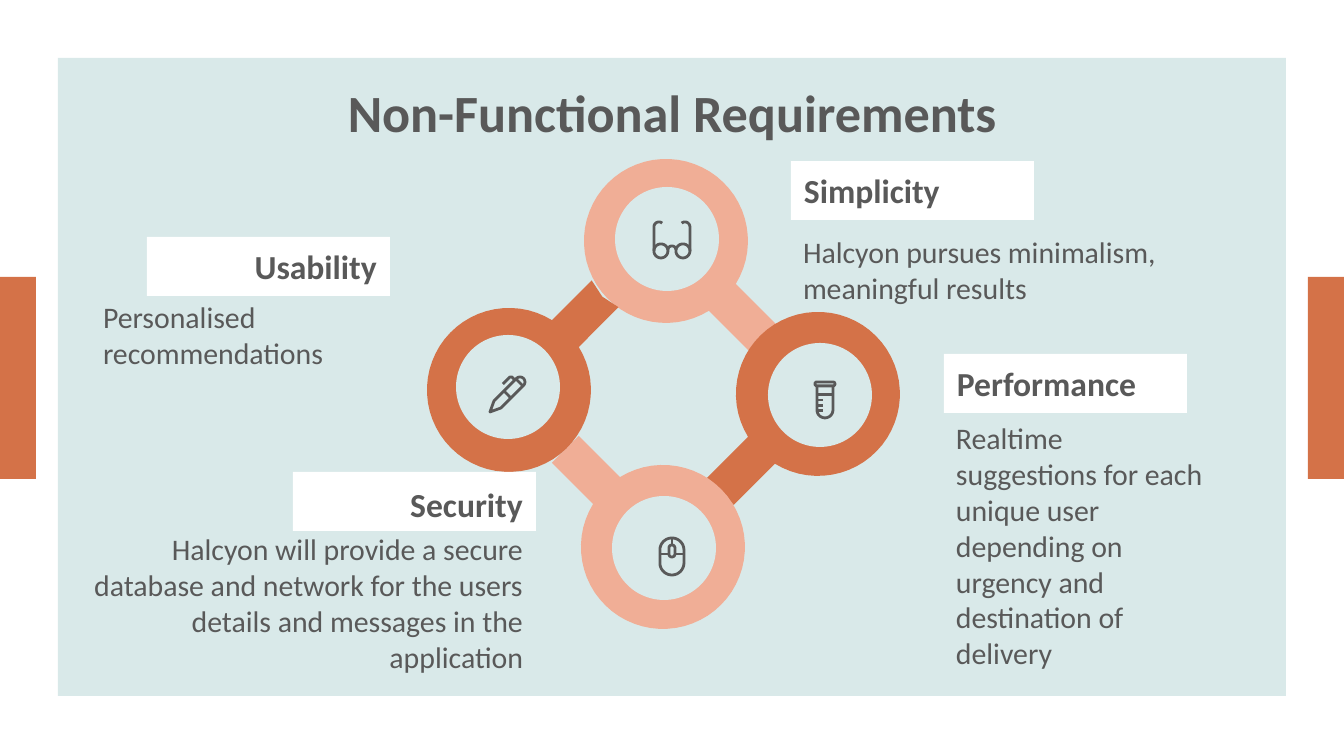
import math

from pptx import Presentation
from pptx import util as u
from pptx.dml.color import RGBColor
from pptx.enum import shapes, text

PX = 914400 / 134.4
MINT = RGBColor(0xD9, 0xE9, 0xE9)
RUST = RGBColor(0xD4, 0x72, 0x48)
PEACH = RGBColor(0xF0, 0xAE, 0x96)
GREY = RGBColor(0x59, 0x59, 0x59)
WHITE = RGBColor(0xFF, 0xFF, 0xFF)
LEFT, CENTER, RIGHT = text.PP_ALIGN.LEFT, text.PP_ALIGN.CENTER, text.PP_ALIGN.RIGHT
RECTANGLE, OVAL = shapes.MSO_SHAPE.RECTANGLE, shapes.MSO_SHAPE.OVAL

presentation = Presentation()
presentation.slide_width = u.Emu(round(1344 * PX))
presentation.slide_height = u.Emu(round(756 * PX))
slide = presentation.slides.add_slide(presentation.slide_layouts[6])


def arc(x, y, radius, start, stop):
    steps = max(8, math.ceil(abs(stop - start) / 6))
    angles = [math.radians(start + (stop - start) * i / steps) for i in range(steps + 1)]
    return [(x + radius * math.cos(a), y + radius * math.sin(a)) for a in angles]


def draw_outline(contours, closed):
    contours = [[(round(x * PX), round(y * PX)) for x, y in points] for points in contours]
    builder = slide.shapes.build_freeform(*contours[0][0], scale=1.0)
    for number, points in enumerate(contours):
        if number:
            builder.move_to(*points[0])
        builder.add_line_segments(points[1:], close=closed)
    shape = builder.convert_to_shape()
    shape.shadow.inherit = False
    return shape


panels = [
    (58, 58, 1228, 638, MINT),
    (1308, 277, 36, 202, RUST),
    (0, 277, 36, 202, RUST),
]
for left, top, width, height, color in panels:
    box = [round(n * PX) for n in (left, top, width, height)]
    shape = slide.shapes.add_shape(RECTANGLE, *box)
    shape.shadow.inherit = False
    shape.fill.solid()
    shape.fill.fore_color.rgb = color
    shape.line.fill.background()

RING_RADIUS, HOLE_RADIUS, ARM_HALF_WIDTH = 82, 52, 19
opening = math.degrees(math.asin(ARM_HALF_WIDTH / RING_RADIUS))
rings = [
    (666, 241, 667, 239, 45, 138, 138, PEACH),
    (818, 394, 820, 395, 135, 138, 138, RUST),
    (663, 547, 664, 548, 225, 138, 138, PEACH),
    (509, 390, 508, 387, 315, 136, 132, RUST),
]
for x, y, hole_x, hole_y, direction, reach, notch, color in rings:
    cos, sin = math.cos(math.radians(direction)), math.sin(math.radians(direction))
    arm_end = [(reach, -ARM_HALF_WIDTH), (notch, 0), (reach, ARM_HALF_WIDTH)]
    points = arc(x, y, RING_RADIUS, direction + opening, direction + 360 - opening)
    points += [(x + a * cos - b * sin, y + a * sin + b * cos) for a, b in arm_end]
    ring = draw_outline([points], True)

    hole_box = (hole_x - HOLE_RADIUS, hole_y - HOLE_RADIUS, 2 * HOLE_RADIUS, 2 * HOLE_RADIUS)
    hole = slide.shapes.add_shape(OVAL, *[round(n * PX) for n in hole_box])
    hole.shadow.inherit = False
    for shape, fill_color in ((ring, color), (hole, MINT)):
        shape.fill.solid()
        shape.fill.fore_color.rgb = fill_color
        shape.line.fill.background()

glasses = [
    arc(661, 251, 7, 0, 360),
    arc(683, 251, 7, 0, 360),
    arc(672, 250, 4, 180, 360),
    [(654, 251)] + arc(659, 227, 5, 180, 310),
    [(690, 251)] + arc(685, 227, 5, 0, -130),
]
test_tube = [
    arc(817, 384, 2, 90, 270) + arc(833, 384, 2, -90, 90) + [(817, 386)],
    [(817, 386)] + arc(825, 410, 8, 180, 0) + [(833, 386)],
    [(817, 395), (833, 395)],
] + [[(817, y), (823, y)] for y in (400, 406, 411)]
mouse = [
    arc(672, 550, 12, 180, 360) + arc(672, 563, 12, 0, 180) + [(660, 550)],
    arc(672, 548, 3, 180, 360) + arc(672, 554, 3, 0, 180) + [(669, 548)],
    [(660, 554), (669, 554)],
    [(675, 554), (684, 554)],
    [(672, 538), (672, 545)],
]
pen = [
    [(494, 401)] + arc(520, 382, 5, -135, 45) + [(501, 408), (490, 412), (494, 401)],
    [(504, 391), (511, 398)],
    [(516, 379), (523, 386)],
    [(503, 384), (510, 377), (512, 377), (515, 380)],
]
for icon in (glasses, test_tube, mouse, pen):
    shape = draw_outline(icon, False)
    shape.fill.background()
    shape.line.color.rgb = GREY
    shape.line.width = u.Pt(1.5)

texts = [
    ("Non-Functional Requirements", 46, 67, 1252, 85, 28, CENTER),
    ("Halcyon will provide a secure database and network for the users "
     "details and messages in the application", 54, 518, 482, 164, 16, RIGHT),
    ("Realtime suggestions for each unique user depending on urgency and "
     "destination of delivery", 943, 407, 278, 284, 16, LEFT),
    ("Halcyon pursues minimalism, meaningful results", 790, 221, 431, 91, 16, LEFT),
    ("Personalised recommendations", 90, 286, 310, 195, 16, LEFT),
    ("Security", 293, 472, 243, 59, 18, RIGHT),
    ("Performance", 944, 354, 243, 59, 18, LEFT),
    ("Simplicity", 791, 161, 243, 59, 18, LEFT),
    ("Usability", 147, 237, 243, 59, 18, RIGHT),
]
for words, left, top, width, height, size, alignment in texts:
    box = [round(n * PX) for n in (left, top, width, height)]
    is_label = size == 18
    if is_label:
        shape = slide.shapes.add_shape(RECTANGLE, *box)
        shape.shadow.inherit = False
        shape.fill.solid()
        shape.fill.fore_color.rgb = WHITE
        shape.line.fill.background()
    else:
        shape = slide.shapes.add_textbox(*box)
    frame = shape.text_frame
    frame.word_wrap = True
    frame.margin_left = frame.margin_right = round(13 * PX)
    frame.margin_top = frame.margin_bottom = round(13 * PX)
    frame.vertical_anchor = text.MSO_ANCHOR.MIDDLE if is_label else text.MSO_ANCHOR.TOP
    frame.text = words
    paragraph = frame.paragraphs[0]
    paragraph.alignment = alignment
    if words == "Security":
        paragraph.line_spacing = 1.15
    font = paragraph.runs[0].font
    font.name = "Calibri"
    font.size = u.Pt(size)
    font.bold = size > 16
    font.color.rgb = GREY

presentation.save("out.pptx")
